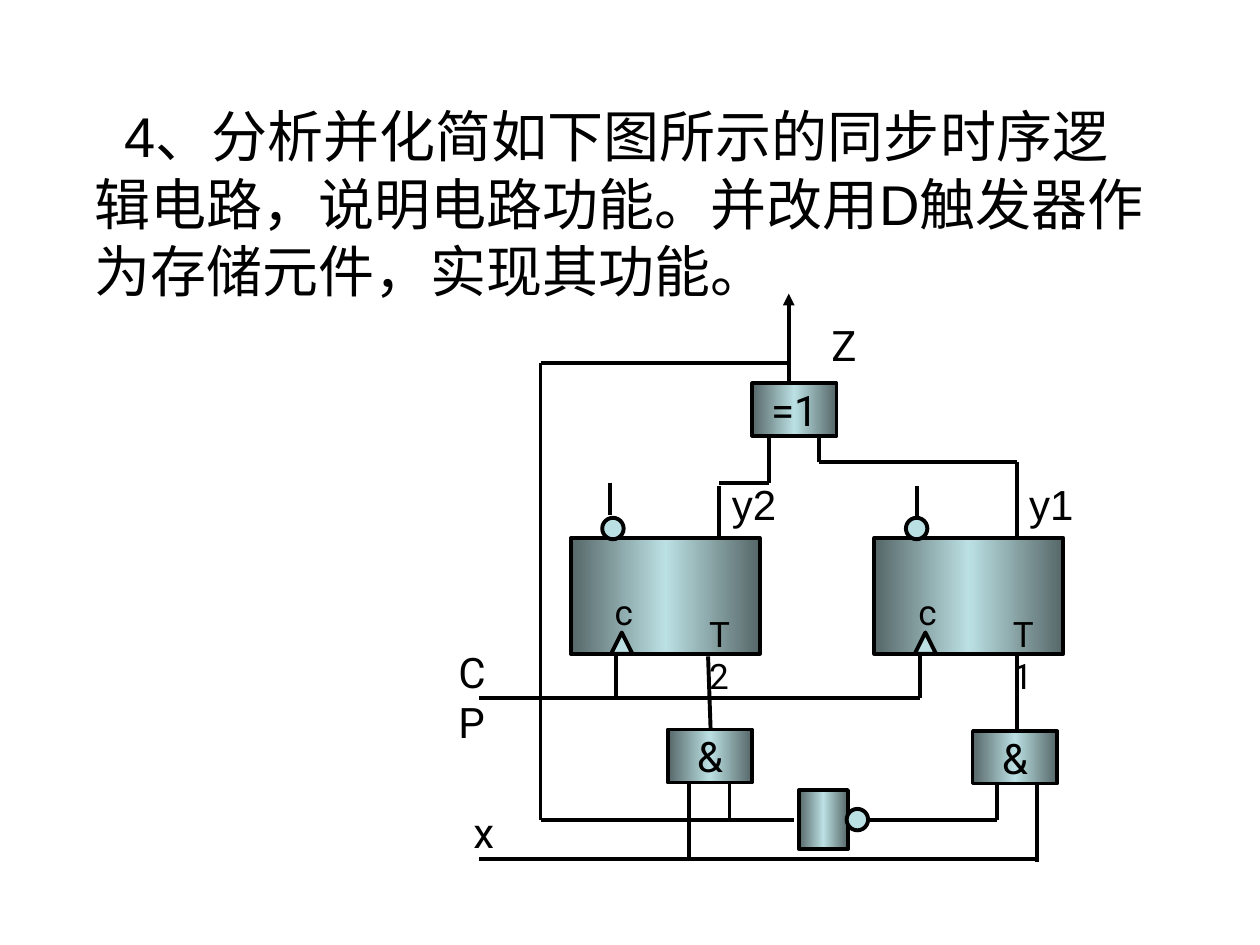
from copy import deepcopy
from itertools import pairwise

from pptx import Presentation
from pptx.dml.color import RGBColor
from pptx.enum import shapes, text
from pptx.oxml import ns, xmlchemy
from pptx.util import Inches, Pt

BLACK = "000000"
PALE = "BBE0E3"
DARK = "566768"
BUBBLE = 0.17
QUESTION = "4、分析并化简如下图所示的同步时序逻辑电路，说明电路功能。并改用D触发器作为存储元件，实现其功能。"

WIRES = [
    [(4.84, 3.83), (4.84, 4.09)],
    [(7.28, 3.86), (7.28, 4.19)],
    [(5.71, 4.27), (5.71, 3.86)],
    [(5.71, 3.83), (6.1, 3.83), (6.1, 3.46)],
    [(8.07, 4.27), (8.07, 3.67), (6.5, 3.67), (6.5, 3.44)],
    [(5.62, 5.21), (5.64, 5.79)],
    [(8.07, 5.21), (8.07, 5.8)],
    [(3.8, 5.54), (7.3, 5.54), (7.3, 5.21)],
    [(4.89, 5.21), (4.89, 5.54)],
    [(6.26, 2.88), (4.29, 2.88), (4.29, 6.51), (6.3, 6.51)],
    [(5.79, 6.19), (5.79, 6.51)],
    [(6.89, 6.51), (7.91, 6.51), (7.91, 6.19)],
    [(3.8, 6.82), (8.23, 6.82)],
    [(8.23, 6.19), (8.23, 6.84)],
    [(5.47, 6.21), (5.47, 6.82)],
]


def rgb(value):
    return RGBColor.from_string(value)


def style_text(paragraph, size, font):
    paragraph.font.size = Pt(size)
    paragraph.font.name = font
    paragraph.font.color.rgb = rgb(BLACK)


def add_label(slide, left, top, width, height, words, size=24, font="Roboto", wrap=False):
    frame = slide.shapes.add_textbox(
        Inches(left), Inches(top), Inches(width), Inches(height)
    ).text_frame
    frame.word_wrap = wrap
    frame.text = words
    style_text(frame.paragraphs[0], size, font)
    return frame.paragraphs[0]


def add_question(slide):
    question = add_label(slide, 0.27, 0.76, 9, 2, QUESTION, 32, "Arial", True)
    properties = question._p.get_or_add_pPr()
    properties.set("marL", str(Inches(0.38)))
    properties.set("indent", str(Inches(0.24)))


def add_wire(slide, start, end, arrow=False):
    wire = slide.shapes.add_connector(
        shapes.MSO_CONNECTOR.STRAIGHT, *(Inches(value) for value in (*start, *end))
    )
    wire.line.color.rgb = rgb(BLACK)
    wire.line.width = Pt(2.25)
    wire._element.spPr.append(xmlchemy.OxmlElement("a:effectLst"))
    if arrow:
        tip = xmlchemy.OxmlElement("a:tailEnd")
        tip.set("type", "triangle")
        wire.line._get_or_add_ln().append(tip)


def add_outlined(slide, preset, left, top, width, height, line_width=2.25):
    part = slide.shapes.add_shape(
        preset, Inches(left), Inches(top), Inches(width), Inches(height)
    )
    part.shadow.inherit = False
    part.fill.solid()
    part.fill.fore_color.rgb = rgb(PALE)
    part.line.color.rgb = rgb(BLACK)
    part.line.width = Pt(line_width)
    return part


def add_block(slide, left, top, width, height, line_width=2):
    block = add_outlined(
        slide, shapes.MSO_SHAPE.RECTANGLE, left, top, width, height, line_width
    )
    block.fill.gradient()
    block.fill.gradient_angle = 0
    edge, middle = block.fill.gradient_stops
    edge.color.rgb, edge.position = rgb(DARK), 0
    middle.color.rgb, middle.position = rgb(PALE), 0.5
    stops = block._element.spPr.find(".//" + ns.qn("a:gsLst"))
    far_edge = deepcopy(stops[0])
    far_edge.set("pos", "100000")
    stops.append(far_edge)
    return block


def add_gate(slide, left, top, symbol):
    frame = add_block(slide, left, top, 0.67, 0.42).text_frame
    frame.word_wrap = False
    frame.vertical_anchor = text.MSO_ANCHOR.MIDDLE
    frame.text = symbol
    frame.paragraphs[0].alignment = text.PP_ALIGN.CENTER
    style_text(frame.paragraphs[0], 24, "Roboto")


def add_bubble(slide, left, top):
    add_outlined(slide, shapes.MSO_SHAPE.OVAL, left, top, BUBBLE, BUBBLE)


def add_flip_flop(slide, left, input_name):
    add_block(slide, left, 4.27, 1.5, 0.92, 2.25)
    add_bubble(slide, left + 0.25, 4.11)
    add_outlined(
        slide, shapes.MSO_SHAPE.ISOSCELES_TRIANGLE, left + 0.32, 5.02, BUBBLE, BUBBLE
    )
    add_label(slide, left + 1, 4.81, 0.51, 0.44, input_name, 20, wrap=True)
    add_label(slide, left + 0.25, 4.64, 0.33, 0.44, "c", 20)


def add_inverter(slide):
    add_block(slide, 6.34, 6.27, 0.39, 0.47)
    add_bubble(slide, 6.72, 6.42)


def main():
    deck = Presentation()
    deck.slide_width, deck.slide_height = Inches(10), Inches(7.5)
    slide = deck.slides.add_slide(deck.slide_layouts[6])

    add_question(slide)
    for route in WIRES:
        for start, end in pairwise(route):
            add_wire(slide, start, end)
    add_wire(slide, (6.26, 3.04), (6.26, 2.33), arrow=True)

    add_flip_flop(slide, 4.53, "T2")
    add_flip_flop(slide, 6.94, "T1")
    add_gate(slide, 5.97, 3.04, "=1")
    add_gate(slide, 5.3, 5.79, "&")
    add_gate(slide, 7.72, 5.8, "&")
    add_inverter(slide)

    add_label(slide, 3.54, 5.08, 0.61, 0.5, "CP", wrap=True)
    add_label(slide, 3.66, 6.35, 0.37, 0.5, "x")
    add_label(slide, 6.5, 2.49, 0.39, 0.5, "Z")
    add_label(slide, 5.71, 3.75, 0.55, 0.5, "y2", font="Arial")
    add_label(slide, 8.07, 3.75, 0.55, 0.5, "y1", font="Arial")

    deck.save("out.pptx")


if __name__ == "__main__":
    main()
